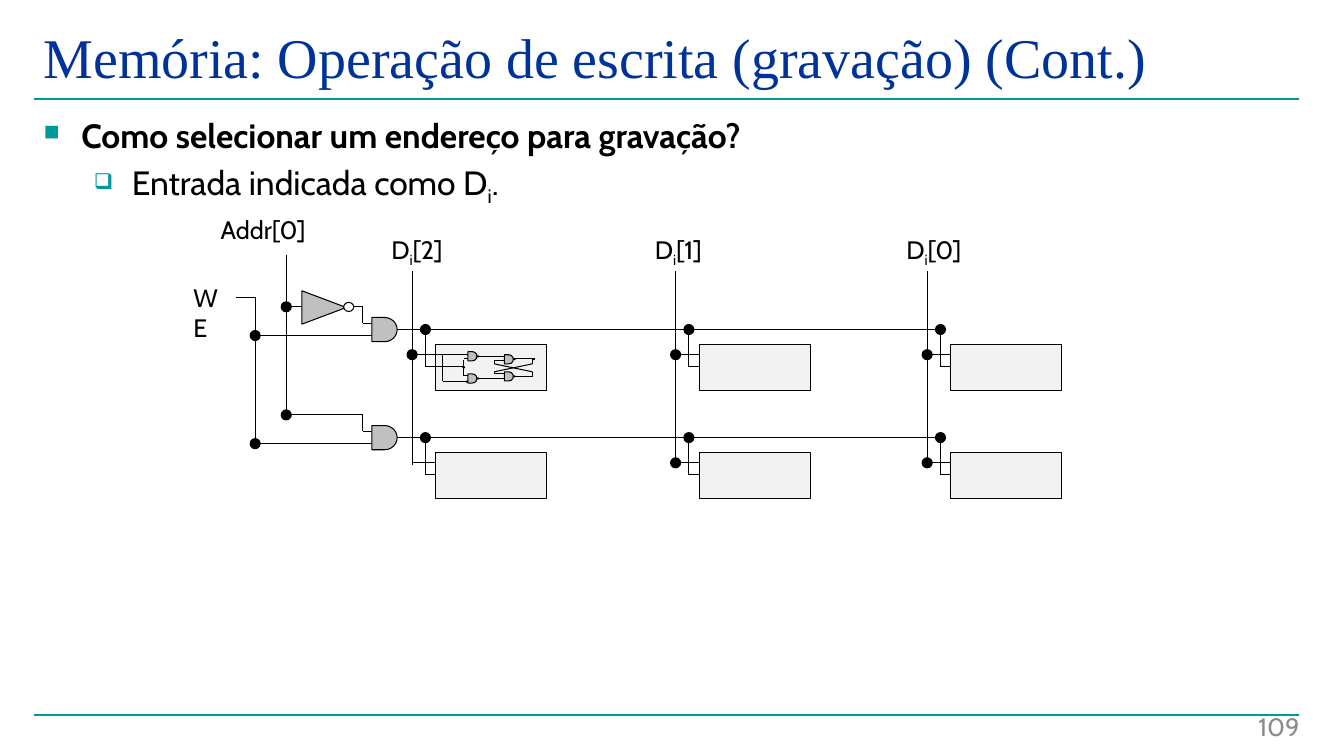
from lxml import etree
from pptx import Presentation
from pptx.dml.color import RGBColor
from pptx.enum.shapes import MSO_CONNECTOR, MSO_SHAPE
from pptx.enum.text import MSO_ANCHOR, PP_ALIGN
from pptx.oxml.ns import qn
from pptx.util import Pt

STRAIGHT = MSO_CONNECTOR.STRAIGHT
RECTANGLE, TRIANGLE = MSO_SHAPE.RECTANGLE, MSO_SHAPE.ISOSCELES_TRIANGLE
OVAL, AND_GATE = MSO_SHAPE.OVAL, MSO_SHAPE.FLOWCHART_DELAY
TOP, BOTTOM = MSO_ANCHOR.TOP, MSO_ANCHOR.BOTTOM
LEFT, RIGHT = PP_ALIGN.LEFT, PP_ALIGN.RIGHT

COLORS = {"teal": "009999", "title": "003399", "number": "8C8C8C", "black": "000000",
          "white": "FFFFFF", "gate": "C0C0C0", "cell": "F2F2F2"}

DATA_X = {2: 294.4, 1: 482.6, 0: 662.3}
ROW_Y = (235.4, 312.6)
BRANCH_DX, CELL_DX, CELL_DY = 9.5, 16.8, 10.8
DATA_DY, ENABLE_DY, ADDRESS_DY = 18, 26.6, -16.2
WE_X, WE_Y, ADDRESS_X, GATE_INPUT_X, GATE_X = 182.3, 212.4, 204.5, 259.2, 265.7

# Latch geometry, relative to the corner of its cell
LATCH_LINES = [
    (20.2, 22.3, 23, 22.3), (20.2, 10, 23, 10), (20.2, 22.3, 20.2, 10.8),
    (31, 8.6, 49, 8.6), (31, 24.5, 49, 24.5),
    (55.4, 23, 69.1, 23), (55.4, 10, 70.6, 10),
    (41.8, 20.9, 49, 20.9), (41.8, 11.5, 49, 11.5),
    (41.8, 11.5, 41.8, 13.7), (41.8, 19.4, 41.8, 20.9),
    (69.1, 19.4, 41.8, 13.7), (41.8, 19.4, 69.1, 13.7),
    (69.1, 19.4, 69.1, 23), (69.1, 10, 69.1, 13.7),
    (5, 26, 21.6, 26), (5, 26, 5, 7.2),
]
LATCH_GATES = [(23, 5), (23, 20.9), (49, 7.2), (49, 19.4)]
LATCH_DOTS = [
    (69.1, 10, "black"), (19.4, 15.8, "black"), (55.4, 10, "white"), (55.4, 22.3, "white"),
    (29.5, 8, "white"), (29.5, 23.8, "white"), (21.6, 26, "white"),
]


class SlideWriter:
    """Draws on one slide; every length is in points."""

    def __init__(self, page):
        self.page = page
        self.font = "Cabin"

    def color(self, name):
        return RGBColor.from_string(COLORS[name])

    def line(self, x1, y1, x2, y2, color="black", width=0.75):
        wire = self.page.shapes.add_connector(STRAIGHT, Pt(x1), Pt(y1), Pt(x2), Pt(y2))
        wire.line.color.rgb = self.color(color)
        wire.line.width = Pt(width)
        etree.SubElement(wire._element.spPr, qn("a:effectLst"))

    def shape(self, kind, x, y, width, height, fill, rotation=0):
        shape = self.page.shapes.add_shape(kind, Pt(x), Pt(y), Pt(width), Pt(height))
        shape.shadow.inherit = False
        shape.rotation = rotation
        shape.fill.solid()
        shape.fill.fore_color.rgb = self.color(fill)
        shape.line.color.rgb = self.color("black")
        shape.line.width = Pt(0.75)

    def node(self, x, y):
        """Junction dot centred on a point."""
        self.shape(OVAL, x - 3.6, y - 3.6, 7.2, 7.2, "black")

    def text_frame(self, x, y, width, height, anchor=TOP):
        box = self.page.shapes.add_textbox(Pt(x), Pt(y), Pt(width), Pt(height))
        formats = {"word_wrap": True, "vertical_anchor": anchor}
        for name, value in formats.items():
            setattr(box.text_frame, name, value)
        return box.text_frame

    def fill_paragraph(self, para, text, size=18, color="black", align=LEFT, **font):
        """Write text whose subscripts stand between underscores."""
        para.alignment = align
        formats = {"name": self.font, "size": Pt(size), **font}
        for index, part in enumerate(text.split("_")):
            span = para.add_run()
            span.text = part
            for name, value in formats.items():
                setattr(span.font, name, value)
            span.font.color.rgb = self.color(color)
            if index % 2:
                span._r.get_or_add_rPr().set("baseline", "-25000")

    def label(self, text, x, y, width, height, anchor=TOP, **style):
        frame = self.text_frame(x, y, width, height, anchor)
        self.fill_paragraph(frame.paragraphs[0], text, **style)

    def bullets(self, items, x, y, width, height):
        frame = self.text_frame(x, y, width, height)
        for level, (symbol, text, bold) in enumerate(items):
            para = frame.add_paragraph() if level else frame.paragraphs[0]
            para.level = level
            if level:
                para.space_before = Pt(4.8)
            properties = para._p.get_or_add_pPr()
            properties.set("marL", str(Pt(27 + 36 * level)))
            properties.set("indent", str(Pt(-27)))
            bullet_color = etree.SubElement(properties, qn("a:buClr"))
            etree.SubElement(bullet_color, qn("a:srgbClr"), val=COLORS["teal"])
            etree.SubElement(properties, qn("a:buSzPct"), val="65000")
            etree.SubElement(properties, qn("a:buChar"), char=symbol)
            self.fill_paragraph(para, text, size=24, bold=bold)

    def latch(self, x, y):
        for x1, y1, x2, y2 in LATCH_LINES:
            self.line(x + x1, y + y1, x + x2, y + y2)
        for dx, dy in LATCH_GATES:
            self.shape(AND_GATE, x + dx, y + dy, 6.5, 6.5, "gate")
        for dx, dy, fill in LATCH_DOTS:
            self.shape(OVAL, x + dx, y + dy, 1.4, 0.7, fill)

    def branches(self, x, y):
        """Data and enable inputs of the cell at a data line and a word line."""
        branch_x = x + BRANCH_DX
        self.line(x, y + DATA_DY, x + 39.6, y + DATA_DY)
        self.line(branch_x, y, branch_x, y + ENABLE_DY)
        self.line(branch_x, y + ENABLE_DY, x + 36, y + ENABLE_DY)

    def cell(self, x, y):
        self.shape(RECTANGLE, x + CELL_DX, y + CELL_DY, 79.4, 32.6, "cell")

    def word_line(self, y):
        """Address decoding gate and the line it drives."""
        self.line(275, y, DATA_X[0] + BRANCH_DX, y)
        self.line(ADDRESS_X, y + ADDRESS_DY, GATE_INPUT_X, y + ADDRESS_DY)
        self.line(GATE_INPUT_X, y + ADDRESS_DY, GATE_INPUT_X, y - 4.5)
        self.line(GATE_INPUT_X, y - 4.5, 274, y - 4.5)
        self.line(WE_X, y + 4.3, GATE_X, y + 4.3)
        self.shape(AND_GATE, GATE_X, y - 8.6, 18, 17.3, "gate")
        self.node(ADDRESS_X, y + ADDRESS_DY)
        self.node(WE_X, y + 4.3)


def draw_memory(writer):
    first_row, last_row = ROW_Y
    writer.label("Addr[0]", 150.5, 149.8, 82, 28.8)
    writer.label("WE", 131, 198, 41, 28.8)
    writer.line(168.5, WE_Y, WE_X, WE_Y)
    writer.line(WE_X, WE_Y, WE_X, last_row + 4.3)
    writer.line(ADDRESS_X, 182.2, ADDRESS_X, last_row + ADDRESS_DY)
    for bit, x in DATA_X.items():
        writer.label(f"D_i_[{bit}]", x - 22, 163.7, 62, 28.8)
        writer.line(x, 193.7, x, 331.9)
    for y in ROW_Y:
        writer.word_line(y)
        for bit, x in DATA_X.items():
            if bit == 2 and y == first_row:
                writer.cell(x, y)
                writer.branches(x, y)
                writer.latch(x + CELL_DX, y + CELL_DY)
            else:
                writer.branches(x, y)
                writer.cell(x, y)
            writer.node(x + BRANCH_DX, y)
            if bit < 2 or y == first_row:
                writer.node(x, y + DATA_DY)
    writer.shape(TRIANGLE, 219.6, 203.8, 23.8, 31.7, "gate", rotation=90)
    writer.shape(OVAL, 245.5, 216, 7.2, 6.5, "white")


def main():
    deck = Presentation()
    deck.slide_width, deck.slide_height = Pt(960), Pt(540)
    writer = SlideWriter(deck.slides.add_slide(deck.slide_layouts[6]))
    for y in (510.5, 70.6):
        writer.line(24, y, 928, y, "teal", 1.5)
    writer.label("Memória: Operação de escrita (gravação) (Cont.)", 24, 12.2, 904, 84,
                 size=40, color="title", name="Times New Roman")
    writer.label("109", 711.4, 497.5, 224, 36, anchor=BOTTOM, color="number", align=RIGHT)
    draw_memory(writer)
    writer.bullets([("■", "Como selecionar um endereço para gravação?", True),
                    ("❑", "Entrada indicada como D_i_.", False)], 24, 78.5, 904, 71.3)
    deck.save("out.pptx")


if __name__ == "__main__":
    main()
